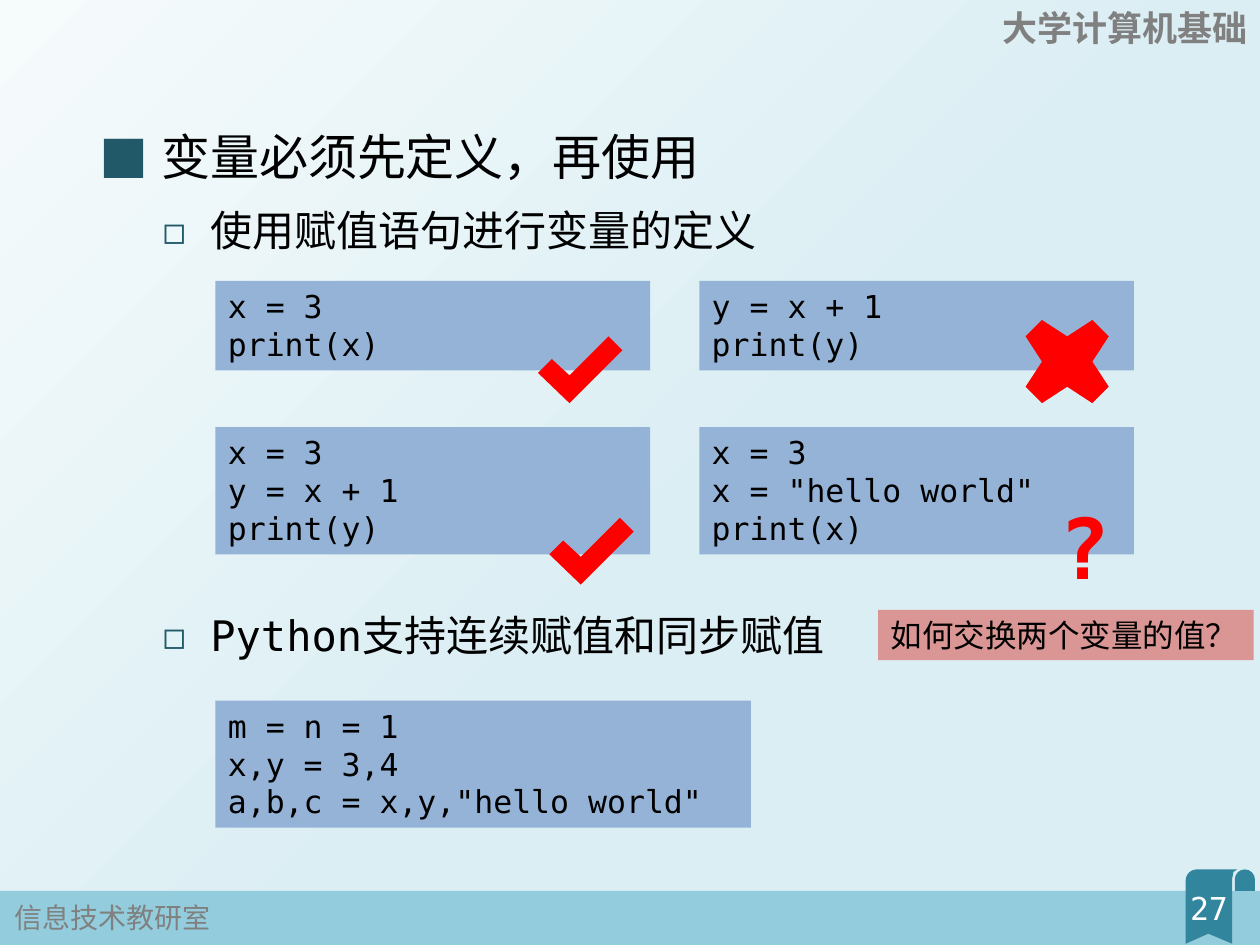
from math import cos, radians, sin

from lxml.etree import SubElement
from pptx import Presentation
from pptx.dml.color import RGBColor
from pptx.enum.shapes import MSO_SHAPE as Shape
from pptx.enum.text import MSO_ANCHOR as Anchor, MSO_AUTO_SIZE as AutoSize, PP_ALIGN as Align
from pptx.oxml.ns import qn
from pptx.util import Inches, Pt

MONO = "DejaVu Sans Mono"
HAN = "Noto Sans CJK JP"
RED = "FF0000"
GREY = "808080"
CODE_FILL = "95B3D7"


def color(hex_text):
    return RGBColor.from_string(hex_text)


def arc(center_x, center_y, radius, start, end, steps=8):
    angles = [radians(start + (end - start) * step / steps) for step in range(steps + 1)]
    return [(center_x + radius * cos(angle), center_y + radius * sin(angle)) for angle in angles]


class Canvas:
    def __init__(self, page):
        self.page = page

    def background(self, start, end, position):
        fill = self.page.background.fill
        fill.gradient()
        fill.gradient_angle = 315
        for stop, place, tone in zip(fill.gradient_stops, (0, position), (start, end)):
            stop.position = place
            stop.color.rgb = color(tone)

    def paint(self, shape, fill):
        shape.shadow.inherit = False
        shape.fill.solid()
        shape.fill.fore_color.rgb = color(fill)
        shape.line.fill.background()

    def style(self, para, size, tone="000000", font=MONO, bold=False):
        for span in para.runs:
            span.font.size = Pt(size)
            span.font.name = font
            span.font.bold = bold
            span.font.color.rgb = color(tone)
            SubElement(span.font._element, qn("a:ea")).set("typeface", HAN)

    def fill_text(self, box, text, size, align=Align.LEFT, wrap=True, **look):
        frame = box.text_frame
        frame.text = text
        frame.word_wrap = wrap
        frame.vertical_anchor = Anchor.TOP
        frame.auto_size = AutoSize.SHAPE_TO_FIT_TEXT
        for para in frame.paragraphs:
            para.alignment = align
            self.style(para, size, **look)

    def label(self, area, text, size, **look):
        box = self.page.shapes.add_textbox(*map(Inches, area))
        self.fill_text(box, text, size, **look)

    def panel(self, area, fill, text="", size=18, **look):
        box = self.page.shapes.add_shape(Shape.RECTANGLE, *map(Inches, area))
        self.paint(box, fill)
        if text:
            self.fill_text(box, text, size, **look)

    def outline(self, fill, *contours):
        contours = [[(Inches(x), Inches(y)) for x, y in points] for points in contours]
        builder = self.page.shapes.build_freeform(*contours[0][0])
        for index, points in enumerate(contours):
            if index:
                builder.move_to(*points[0])
            builder.add_line_segments(points[1:], close=True)
        self.paint(builder.convert_to_shape(), fill)

    def tick(self, left, top):
        corners = [(0.56, 0), (0.25, 0.31), (0.11, 0.18), (0, 0.29), (0.25, 0.53), (0.67, 0.11)]
        self.outline(RED, [(left + x, top + y) for x, y in corners])

    def cross(self, center_x, center_y):
        arm = [(0.2, 0), (0.33, -0.2), (0.2, -0.33)]
        corners = []
        for _ in range(4):
            corners += [(center_x + x, center_y + y) for x, y in arm]
            arm = [(y, -x) for x, y in arm]
        self.outline(RED, corners)

    def bullets(self, area, items):
        box = self.page.placeholders[1]
        box.left, box.top, box.width, box.height = map(Inches, area)
        frame = box.text_frame
        frame.text = "\n".join(item[0] for item in items)
        frame.auto_size = AutoSize.NONE
        frame.vertical_anchor = Anchor.TOP
        marks = (("■", 28, 0.49, 0.49, 100), ("◻", 24, 0.88, 0.38, 90))
        for para, (_, level, before) in zip(frame.paragraphs, items):
            mark, size, margin, hang, scale = marks[level]
            para.level = level
            para.line_spacing = 1.2
            para.space_before = Pt(before)
            self.style(para, size)
            props = para._p.get_or_add_pPr()
            props.set("marL", str(Inches(margin)))
            props.set("indent", str(-Inches(hang)))
            tint = SubElement(props, qn("a:buClr"))
            SubElement(tint, qn("a:srgbClr")).set("val", "215968")
            SubElement(props, qn("a:buSzPct")).set("val", str(scale * 1000))
            SubElement(props, qn("a:buFont")).set("typeface", HAN)
            SubElement(props, qn("a:buChar")).set("char", mark)


deck = Presentation()
deck.slide_width, deck.slide_height = Inches(10), Inches(7.5)
page = deck.slides.add_slide(deck.slide_layouts[1])
title = page.shapes.title._element
title.getparent().remove(title)

canvas = Canvas(page)
canvas.background("F6FBFC", "DBEEF4", 0.56)
canvas.bullets((0.69, 0.86, 8.62, 6.02), [
    ("变量必须先定义，再使用", 0, 10),
    ("使用赋值语句进行变量的定义", 1, 5),
    ("Python支持连续赋值和同步赋值", 1, 197),
])

canvas.panel((0, 7.07, 10, 0.43), "93CDDD")
curl = arc(9.88, 6.98, 0.08, 180, 360) + [(9.96, 7.07), (9.8, 7.07)]
ribbon = arc(9.5, 6.99, 0.09, 180, 270) + [
    (9.82, 6.9), (9.79, 6.92), (9.78, 6.97), (9.78, 7.49), (9.59, 7.41), (9.41, 7.49)]
canvas.outline("31859C", curl, ribbon)
canvas.label((0.02, 7.1, 1.77, 0.37), "信息技术教研室", 16, wrap=False, tone=GREY, font=HAN)
canvas.label((7.83, 0, 2.17, 0.44), "大学计算机基础", 20, align=Align.RIGHT,
             tone=GREY, font=HAN, bold=True)
canvas.label((9.24, 7.01, 0.71, 0.4), "27", 18, align=Align.CENTER, tone="FFFFFF")

left, right = 1.71, 5.55
for x, y, width, height, code in (
    (left, 2.23, 3.45, 0.71, "x = 3\nprint(x)"),
    (right, 2.23, 3.45, 0.71, "y = x + 1\nprint(y)"),
    (left, 3.39, 3.45, 1.01, "x = 3\ny = x + 1\nprint(y)"),
    (right, 3.39, 3.45, 1.01, 'x = 3\nx = "hello world"\nprint(x)'),
    (left, 5.56, 4.25, 1.01, 'm = n = 1\nx,y = 3,4\na,b,c = x,y,"hello world"'),
):
    canvas.panel((x, y, width, height), CODE_FILL, code)

canvas.tick(4.27, 2.67)
canvas.tick(4.36, 4.11)
canvas.cross(8.47, 2.87)
canvas.label((8.31, 3.88, 0.61, 0.91), "?", 48, wrap=False, tone=RED, bold=True)
canvas.panel((6.97, 4.84, 2.98, 0.4), "D99694", "如何交换两个变量的值？", wrap=False)

deck.save("out.pptx")
